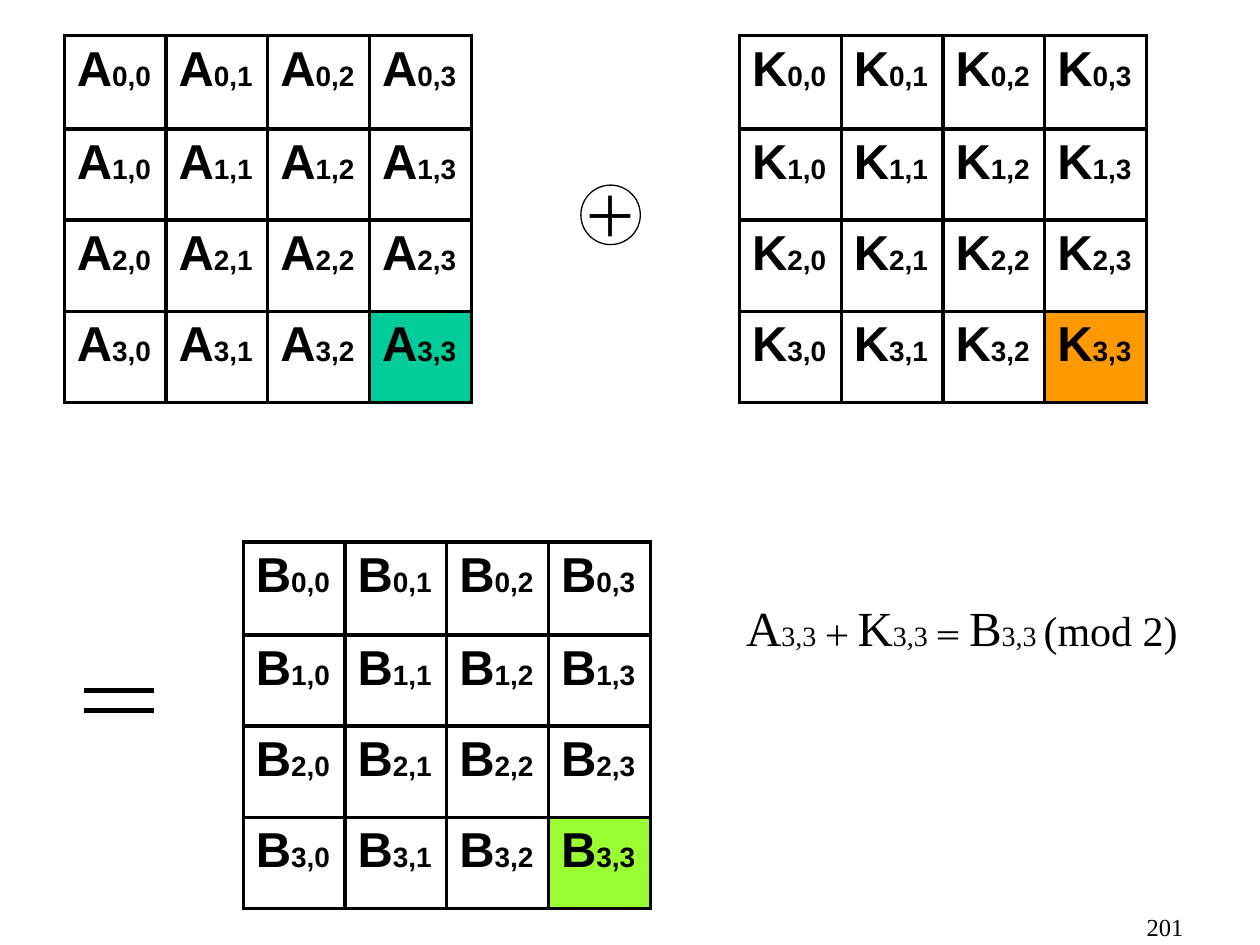
"""Build a slide showing a state matrix combined with a round key by addition modulo 2."""
from lxml import etree
from pptx import Presentation
from pptx.dml.color import RGBColor
from pptx.enum.shapes import MSO_CONNECTOR, MSO_SHAPE
from pptx.enum.text import MSO_ANCHOR, PP_ALIGN
from pptx.oxml import parse_xml
from pptx.oxml.ns import nsdecls, qn
from pptx.util import Pt

ELLIPSE, STRAIGHT = MSO_SHAPE.OVAL, MSO_CONNECTOR.STRAIGHT
MIDDLE, TOP = MSO_ANCHOR.MIDDLE, MSO_ANCHOR.TOP
LEFT, CENTER, RIGHT = PP_ALIGN.LEFT, PP_ALIGN.CENTER, PP_ALIGN.RIGHT
BLACK, WHITE = "000000", "FFFFFF"
SANS, SERIF = "Arial", "Times New Roman"

MATRICES = [
    ("A", 36.7, 20.4, "00CC99"),
    ("K", 422.6, 20.4, "FF9900"),
    ("B", 139, 309.6, "99FF33"),
]
COLUMN_WIDTH = 58.14
ROW_HEIGHTS = [53.3, 52.1, 52.1, 52.1]
LETTER_SIZE, INDEX_SIZE = 28, 16
BORDER_WIDTH = 2.25

EQUATION = [
    ("A", LETTER_SIZE), ("3,3 ＋ ", INDEX_SIZE),
    ("K", LETTER_SIZE), ("3,3 ＝ ", INDEX_SIZE),
    ("B", LETTER_SIZE), ("3,3 ", INDEX_SIZE),
    ("(mod 2)", 24),
]
EQUALS_LEFT, EQUALS_RIGHT, EQUALS_HEIGHTS = 48.2, 87.8, [394.6, 406]


def color(value):
    return RGBColor.from_string(value)


def write(frame, spans, font=SERIF, bold=False, align=LEFT, anchor=TOP, wrap=True):
    """Fill a text frame with one paragraph of (text, size) spans."""
    frame.word_wrap = wrap
    frame.vertical_anchor = anchor
    para = frame.paragraphs[0]
    para.alignment = align
    for text, size in spans:
        span = para.add_run()
        span.text = text
        span.font.name = font
        span.font.size = Pt(size)
        span.font.bold = bold
        span.font.color.rgb = color(BLACK)


def add_text(page, left, top, width, height, spans, **form):
    box = page.shapes.add_textbox(Pt(left), Pt(top), Pt(width), Pt(height))
    write(box.text_frame, spans, **form)


def add_borders(cell):
    properties = cell._tc.get_or_add_tcPr()
    for side in ("lnL", "lnR", "lnT", "lnB"):
        properties.append(parse_xml(
            f'<a:{side} {nsdecls("a")} w="{Pt(BORDER_WIDTH)}">'
            f'<a:solidFill><a:srgbClr val="{BLACK}"/></a:solidFill></a:{side}>'))


def add_matrix(page, letter, left, top, highlight):
    size = len(ROW_HEIGHTS)
    table = page.shapes.add_table(
        size, size, Pt(left), Pt(top),
        Pt(COLUMN_WIDTH * size), Pt(sum(ROW_HEIGHTS))).table
    table.first_row = False
    table.horz_banding = False
    for column in table.columns:
        column.width = Pt(COLUMN_WIDTH)
    for row, height in enumerate(ROW_HEIGHTS):
        table.rows[row].height = Pt(height)
        for column in range(size):
            cell = table.cell(row, column)
            add_borders(cell)
            if row == column == size - 1:
                cell.fill.solid()
                cell.fill.fore_color.rgb = color(highlight)
            else:
                cell.fill.background()
            spans = [(letter, LETTER_SIZE), (f"{row},{column}", INDEX_SIZE)]
            write(cell.text_frame, spans, font=SANS, bold=True)


def add_plus(page):
    circle = page.shapes.add_shape(ELLIPSE, Pt(331.9), Pt(105.8), Pt(34), Pt(34))
    circle.shadow.inherit = False
    circle.fill.solid()
    circle.fill.fore_color.rgb = color(WHITE)
    circle.line.color.rgb = color(BLACK)
    circle.line.width = Pt(0.75)
    write(circle.text_frame, [("＋", 32)], align=CENTER, anchor=MIDDLE, wrap=False)


def add_equals(page):
    for height in EQUALS_HEIGHTS:
        bar = page.shapes.add_connector(
            STRAIGHT, Pt(EQUALS_LEFT), Pt(height), Pt(EQUALS_RIGHT), Pt(height))
        bar.line.color.rgb = color(BLACK)
        bar.line.width = Pt(3)
        etree.SubElement(bar._element.spPr, qn("a:effectLst"))


def main():
    deck = Presentation()
    deck.slide_width, deck.slide_height = Pt(720), Pt(540)
    page = deck.slides.add_slide(deck.slide_layouts[6])
    for matrix in MATRICES:
        add_matrix(page, *matrix)
    add_plus(page)
    add_equals(page)
    add_text(page, 393.8, 337.7, 311.8, 41, EQUATION, align=CENTER)
    add_text(page, 533.5, 517.7, 149.8, 22.3, [("201", 14)], align=RIGHT)
    deck.save("out.pptx")


if __name__ == "__main__":
    main()
